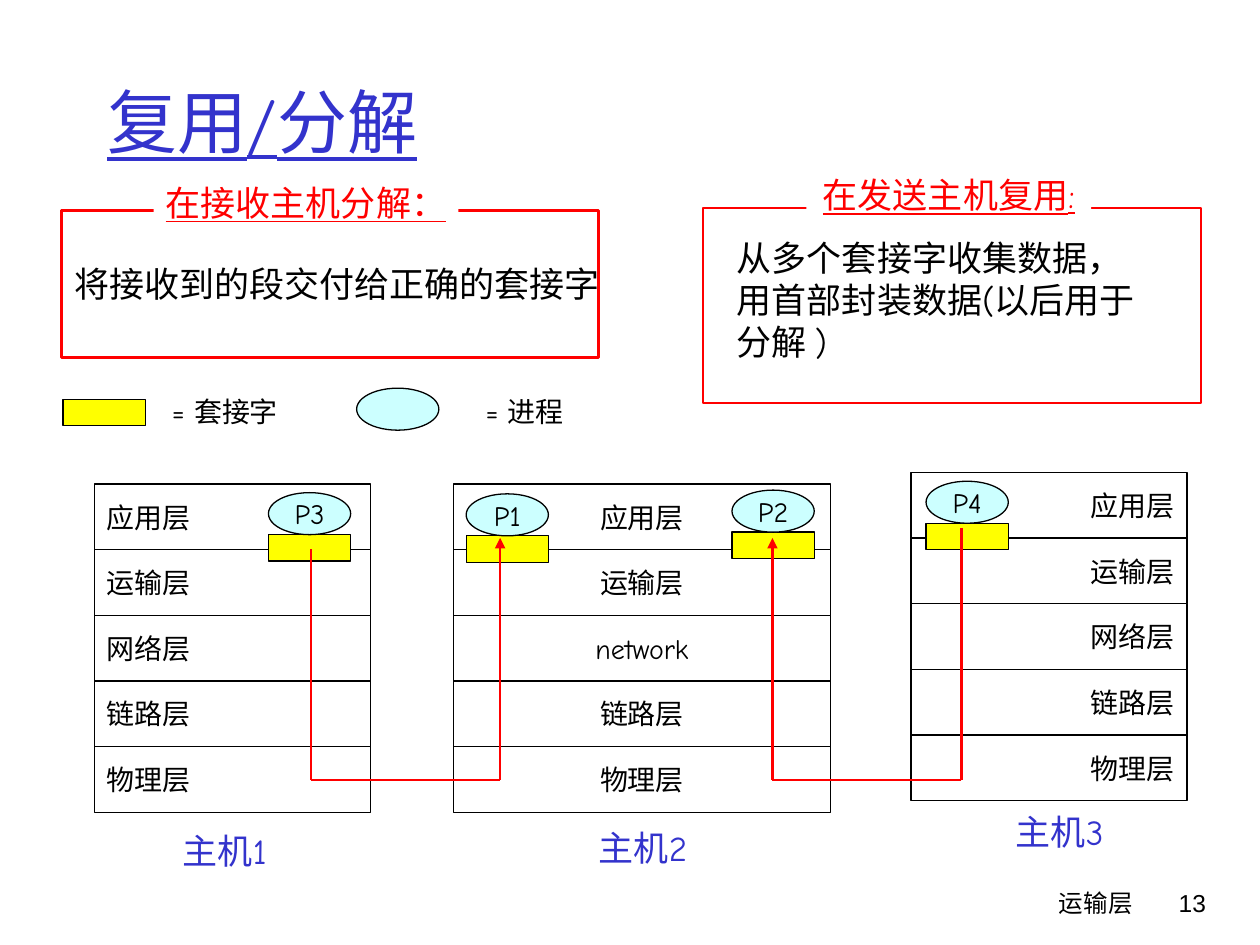
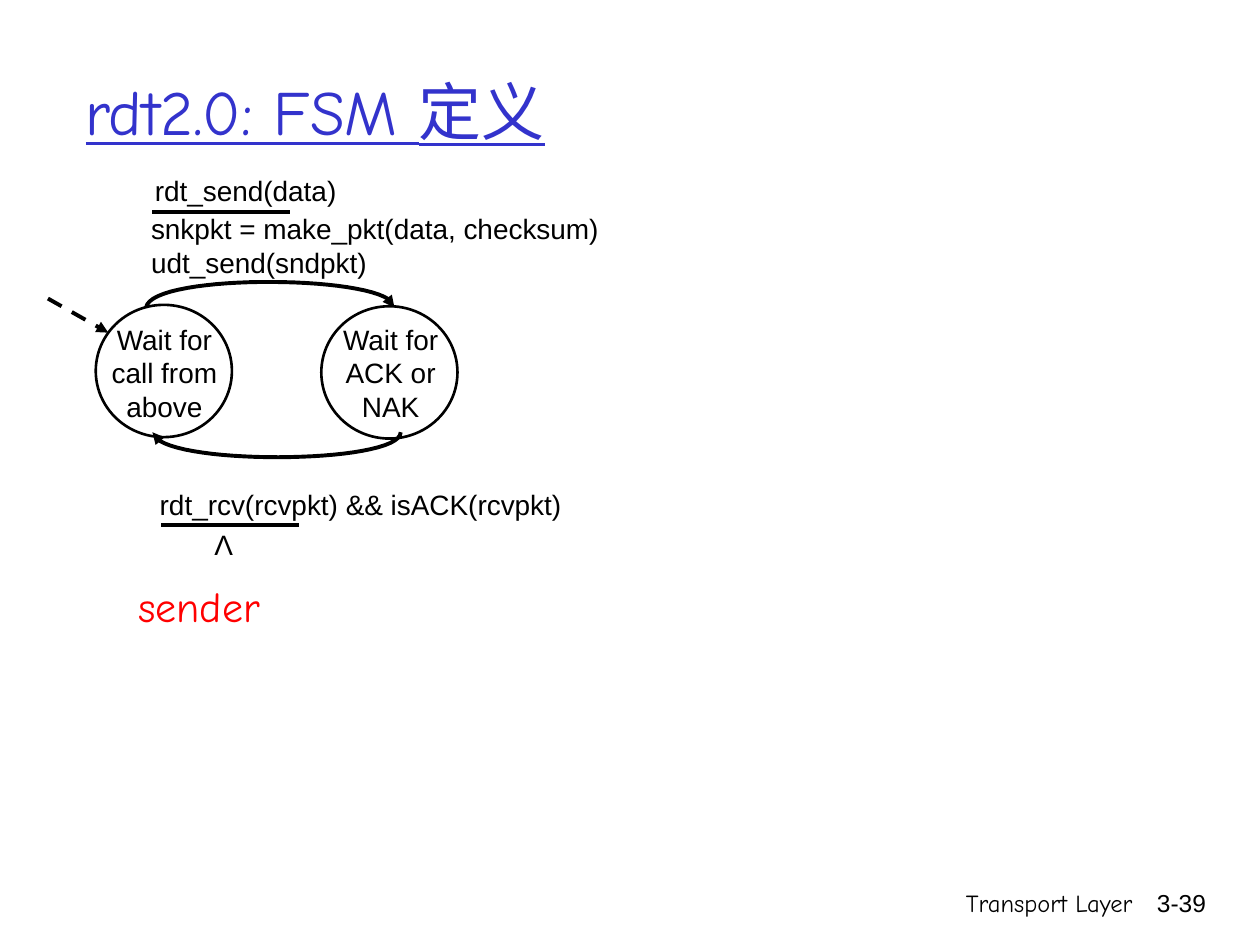
from dataclasses import dataclass

from lxml import etree
from pptx import Presentation
from pptx.dml.color import RGBColor
from pptx.enum.dml import MSO_LINE
from pptx.enum.shapes import MSO_CONNECTOR, MSO_SHAPE
from pptx.enum.text import MSO_ANCHOR, MSO_AUTO_SIZE, PP_ALIGN
from pptx.oxml.ns import qn
from pptx.util import Pt

LEFT, CENTER, RIGHT = PP_ALIGN.LEFT, PP_ALIGN.CENTER, PP_ALIGN.RIGHT
TOP, MIDDLE = MSO_ANCHOR.TOP, MSO_ANCHOR.MIDDLE
RECT, OVAL = MSO_SHAPE.RECTANGLE, MSO_SHAPE.OVAL
STRAIGHT = MSO_CONNECTOR.STRAIGHT
NO_AUTOFIT = MSO_AUTO_SIZE.NONE
DASH = MSO_LINE.DASH

COLORS = {"blue": "3333CC", "red": "FF0000", "black": "000000", "white": "FFFFFF",
          "socket": "FFFF00", "process": "CCFFFF"}
COMIC, ARIAL = "Comic Neue", "Arial"
TITLE_ONLY = 5
ROW_HEIGHT = 37.5
TOKEN_WIDTH, PROCESS_HEIGHT, SOCKET_HEIGHT = 47, 24, 15.2
CURVE_STEPS = 32


# Shared styles: points on the slide, all in pt
Point = tuple[float, float]


@dataclass
class Box:
    left: float
    top: float
    width: float
    height: float

    def lengths(self) -> list[int]:
        return [Pt(v) for v in (self.left, self.top, self.width, self.height)]


@dataclass
class TextStyle:
    size: float = 16
    font: str = COMIC
    color: str = "black"
    align: PP_ALIGN = LEFT
    anchor: MSO_ANCHOR = TOP
    wrap: bool = False
    underline: bool = False


@dataclass
class Host:
    left: float
    top: float
    width: float
    align: PP_ALIGN
    layers: list[str]
    label: str
    label_box: Box


@dataclass
class State:
    circle: Box
    caption: Box
    text: str


def rgb(name: str) -> RGBColor:
    return RGBColor.from_string(COLORS[name])


def write(shape, text: str, style: TextStyle) -> None:
    frame = shape.text_frame
    frame.text = text
    frame.auto_size = NO_AUTOFIT
    frame.word_wrap = style.wrap
    frame.vertical_anchor = style.anchor
    for paragraph in frame.paragraphs:
        paragraph.alignment = style.align
        for run in paragraph.runs:
            run.font.size = Pt(style.size)
            run.font.name = style.font
            run.font.underline = style.underline
            run.font.color.rgb = rgb(style.color)


def add_text(slide, box: Box, text: str, style: TextStyle, fill: str = "") -> None:
    label = slide.shapes.add_textbox(*box.lengths())
    if fill:
        label.fill.solid()
        label.fill.fore_color.rgb = rgb(fill)
    write(label, text, style)


def add_outline(slide, kind: MSO_SHAPE, box: Box, fill: str = "",
                line: str = "black", weight: float = 0.75):
    shape = slide.shapes.add_shape(kind, *box.lengths())
    shape.shadow.inherit = False
    if fill:
        shape.fill.solid()
        shape.fill.fore_color.rgb = rgb(fill)
    else:
        shape.fill.background()
    shape.line.color.rgb = rgb(line)
    shape.line.width = Pt(weight)
    return shape


def add_arrowhead(shape) -> None:
    outline = shape.element.spPr.find(qn("a:ln"))
    etree.SubElement(outline, qn("a:tailEnd"), type="triangle")


def add_line(slide, start: Point, end: Point, color: str = "black",
             weight: float = 2.25, arrow: bool = False, dashed: bool = False) -> None:
    line = slide.shapes.add_connector(STRAIGHT, *[Pt(v) for v in start + end])
    line.line.color.rgb = rgb(color)
    line.line.width = Pt(weight)
    if dashed:
        line.line.dash_style = DASH
    if arrow:
        add_arrowhead(line)
    etree.SubElement(line.element.spPr, qn("a:effectLst"))


def add_curve(slide, *controls: Point) -> None:
    """Draw an arrow along a cubic Bezier curve with four control points."""
    points = []
    for step in range(CURVE_STEPS + 1):
        t = step / CURVE_STEPS
        weights = ((1 - t) ** 3, 3 * t * (1 - t) ** 2, 3 * t * t * (1 - t), t ** 3)
        points.append(tuple(Pt(sum(w * c[axis] for w, c in zip(weights, controls)))
                            for axis in (0, 1)))
    builder = slide.shapes.build_freeform(*points[0])
    builder.add_line_segments(points[1:], close=False)
    curve = builder.convert_to_shape()
    curve.shadow.inherit = False
    curve.fill.background()
    curve.line.color.rgb = rgb("black")
    curve.line.width = Pt(2.25)
    add_arrowhead(curve)


def new_slide(prs, title: str, title_box: Box, title_size: float,
              chapter: str, number: str):
    slide = prs.slides.add_slide(prs.slide_layouts[TITLE_ONLY])
    heading = slide.shapes.title
    heading.left, heading.top, heading.width, heading.height = title_box.lengths()
    write(heading, title, TextStyle(title_size, color="blue", anchor=MIDDLE,
                                    wrap=True, underline=True))
    add_text(slide, Box(426.2, 504, 228.2, 36), chapter,
             TextStyle(14, align=RIGHT, wrap=True))
    add_text(slide, Box(643, 504, 53.3, 36), number,
             TextStyle(14, ARIAL, align=RIGHT, wrap=True))
    return slide


# Slide 1: multiplexing and demultiplexing
def add_host(slide, host: Host) -> None:
    for row, layer in enumerate(host.layers):
        box = Box(host.left, host.top + row * ROW_HEIGHT, host.width, ROW_HEIGHT)
        write(add_outline(slide, RECT, box, "white"), layer,
              TextStyle(align=host.align, anchor=MIDDLE))
    add_text(slide, host.label_box, host.label,
             TextStyle(20, color="blue", align=CENTER))


def add_socket(slide, left: float, top: float) -> None:
    add_outline(slide, RECT, Box(left, top, TOKEN_WIDTH, SOCKET_HEIGHT), "socket")


def add_process(slide, left: float, top: float, name: str = "") -> None:
    oval = add_outline(slide, OVAL, Box(left, top, TOKEN_WIDTH, PROCESS_HEIGHT), "process")
    if name:
        write(oval, name, TextStyle(align=CENTER, anchor=MIDDLE))


def add_route(slide, *stops: Point) -> None:
    for index, (start, end) in enumerate(zip(stops, stops[1:]), 2):
        add_line(slide, start, end, "red", 1.5, arrow=index == len(stops))


def build_multiplexing(prs) -> None:
    slide = new_slide(prs, "复用/分解", Box(54, 23.8, 612, 90), 40, "运输层", "13")

    # Protocol stacks of the three hosts
    layers = ["应用层", "运输层", "网络层", "链路层", "物理层"]
    layers_host2 = ["network" if layer == "网络层" else layer for layer in layers]
    for host in (
        Host(54, 276.6, 157.7, LEFT, layers, "主机1", Box(95, 470.2, 67, 31.7)),
        Host(520.6, 270, 157.7, RIGHT, layers, "主机3", Box(571, 459.4, 69.1, 31.7)),
        Host(259.2, 276.6, 215.3, CENTER, layers_host2, "主机2",
             Box(332.6, 468.7, 69.8, 31.7)),
    ):
        add_host(slide, host)

    # Processes, each on top of its socket
    for name, left, top in (("P2", 418.3, 280.1), ("P3", 153.4, 281.5),
                            ("P4", 529.2, 275), ("P1", 266.4, 282.2)):
        add_socket(slide, left, top + PROCESS_HEIGHT)
        add_process(slide, left, top, name)

    # Data routes between the hosts
    wire, arrival = 445.7, 307.4
    add_route(slide, (177.8, 313.9), (177.8, wire), (285.8, wire), (285.8, arrival))
    add_route(slide, (549.4, 301.7), (549.4, wire), (441.4, wire), (441.4, arrival))

    # Legend
    add_socket(slide, 36, 228.2)
    add_process(slide, 203.8, 221.8)
    legend = TextStyle(align=CENTER)
    add_text(slide, Box(268.6, 221.8, 62.6, 26.6), "= 进程", legend)
    add_text(slide, Box(89.3, 221.8, 78.5, 26.6), "= 套接字", legend)

    # Framed definitions
    heading = TextStyle(20, color="red", align=CENTER, underline=True)
    receiving = add_outline(slide, RECT, Box(35.3, 120.2, 306.7, 84.2),
                            line="red", weight=1.5)
    write(receiving, "将接收到的段交付给正确的套接字", TextStyle(20, anchor=MIDDLE))
    add_text(slide, Box(87.8, 100, 174.2, 31.7), "在接收主机分解：", heading, "white")
    add_text(slide, Box(414, 131.8, 252, 79.2),
             "从多个套接字收集数据，用首部封装数据(以后用于分解 )",
             TextStyle(20, wrap=True))
    add_outline(slide, RECT, Box(401.8, 118.8, 284.4, 111.6), line="red", weight=1.5)
    add_text(slide, Box(460.8, 95.8, 162.7, 31.7), "在发送主机复用:", heading, "white")


# Slide 2: state machine of the sender
def build_state_machine(prs) -> None:
    slide = new_slide(prs, "rdt2.0: FSM 定义", Box(41.8, 18, 612, 90), 36,
                      "Transport Layer", "3-39")

    # States
    for state in (
        State(Box(54.7, 174.2, 77.8, 75.6), Box(46.8, 180.7, 94.3, 48.2),
              "Wait for call from above"),
        State(Box(183.6, 175, 77.8, 75.6), Box(180.7, 180.7, 85, 48.2),
              "Wait for ACK or NAK"),
    ):
        add_outline(slide, OVAL, state.circle, "white", weight=1.5)
        add_text(slide, state.caption, state.text,
                 TextStyle(font=ARIAL, align=CENTER, wrap=True))

    # Transitions
    add_curve(slide, (83.5, 175.7), (86.4, 155.5), (225.4, 157), (225.4, 175.7))
    add_curve(slide, (229, 247), (229, 265.7), (90, 266.4), (87.1, 247))
    add_line(slide, (27.4, 170.6), (61.9, 190.1), arrow=True, dashed=True)

    # Events above the rules, actions below
    code = TextStyle(font=ARIAL, wrap=True)
    add_text(slide, Box(79.2, 117.4, 286.6, 31.7),
             "snkpkt = make_pkt(data, checksum)\nudt_send(sndpkt)", code)
    add_text(slide, Box(81.4, 95.8, 177.8, 33.8), "rdt_send(data)", code)
    add_text(slide, Box(84.2, 275, 279.4, 22.3), "rdt_rcv(rcvpkt) && isACK(rcvpkt)", code)
    add_text(slide, Box(115.2, 298.1, 25.2, 26.6), "Λ", TextStyle(font=ARIAL, align=CENTER))
    for left, top in ((87.1, 121), (92.2, 300.2)):
        add_line(slide, (left, top), (left + 78.5, top))

    add_text(slide, Box(72, 328.3, 83.5, 36), "sender",
             TextStyle(24, color="red", align=CENTER))


def main() -> None:
    prs = Presentation()
    prs.slide_width, prs.slide_height = Pt(720), Pt(540)
    build_multiplexing(prs)
    build_state_machine(prs)
    prs.save("out.pptx")


if __name__ == "__main__":
    main()
